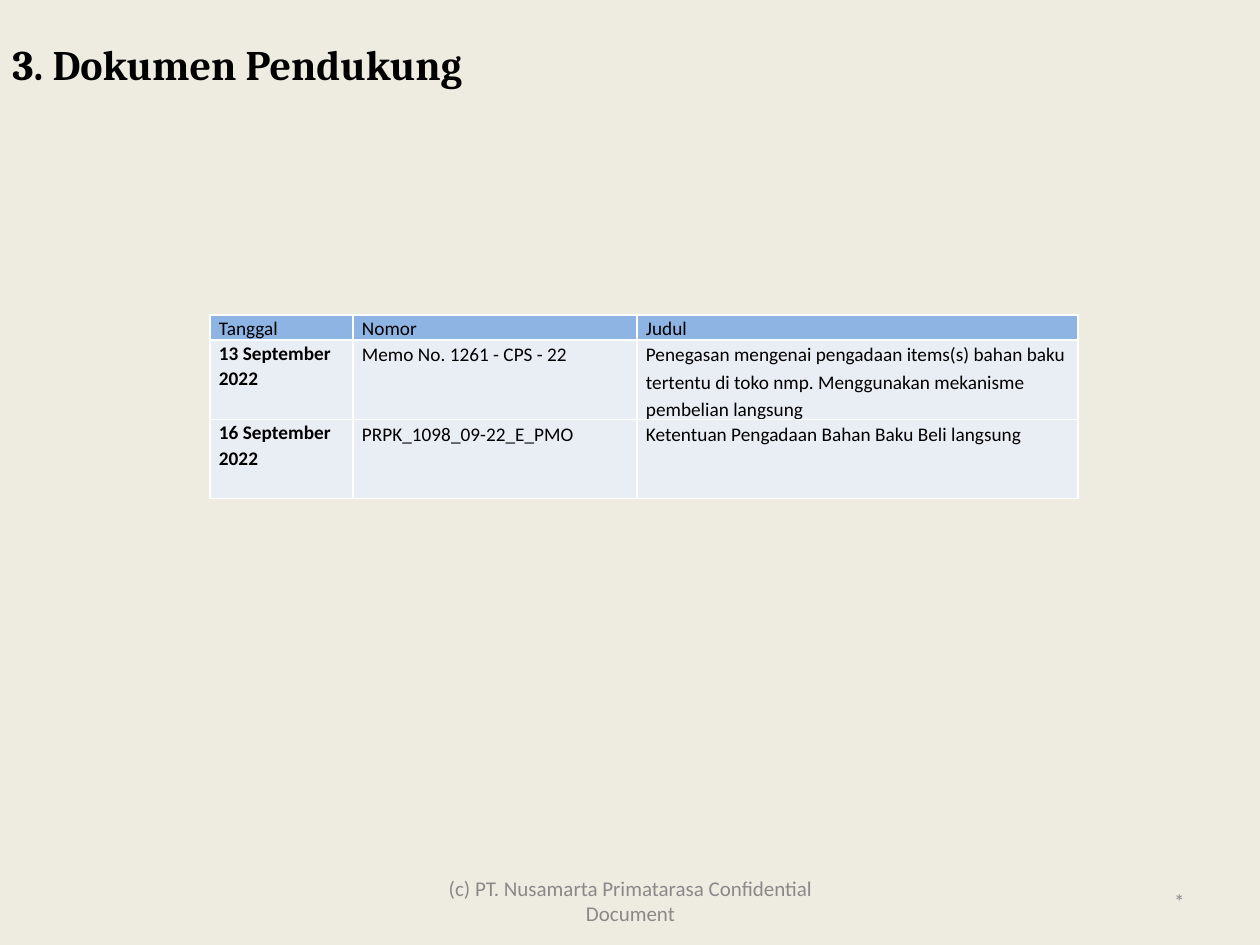
from dataclasses import dataclass

from lxml.etree import SubElement
from pptx import Presentation
from pptx.dml.color import RGBColor
from pptx.enum.text import MSO_ANCHOR, PP_ALIGN
from pptx.oxml.ns import qn
from pptx.util import Emu, Pt


@dataclass(frozen=True)
class Theme:
    background: str = "EEECE1"
    text: str = "000000"
    muted: str = "898989"
    header_fill: str = "8EB4E3"
    body_fill: str = "E9EDF4"
    border: str = "FFFFFF"
    heading_font: str = "Cambria"
    body_font: str = "Calibri"
    title_size: int = 24
    footer_size: int = 12
    table_size: int = 11
    border_width: int = 1


@dataclass(frozen=True)
class Label:
    text: str
    x: int
    y: int
    w: int
    h: int
    size: int
    font: str
    color: str
    align: PP_ALIGN = PP_ALIGN.LEFT
    anchor: MSO_ANCHOR = MSO_ANCHOR.TOP
    bold: bool = False


@dataclass(frozen=True)
class Document:
    date: str
    number: str
    title: str


THEME = Theme()
PX_PER_INCH = 126

LABELS = [
    Label("(c) PT. Nusamarta Primatarasa Confidential Document", 431, 876, 399, 50,
          THEME.footer_size, THEME.body_font, THEME.muted,
          PP_ALIGN.CENTER, MSO_ANCHOR.MIDDLE),
    Label("*", 903, 876, 294, 50, THEME.footer_size, THEME.body_font, THEME.muted,
          PP_ALIGN.RIGHT, MSO_ANCHOR.MIDDLE),
    Label("3. Dokumen Pendukung", 0, 32, 1260, 63,
          THEME.title_size, THEME.heading_font, THEME.text, bold=True),
]

HEADER = Document("Tanggal", "Nomor", "Judul")
DOCUMENTS = [
    Document("13 September 2022", "Memo No. 1261 - CPS - 22",
             "Penegasan mengenai pengadaan items(s) bahan baku tertentu di toko nmp. "
             "Menggunakan mekanisme pembelian langsung"),
    Document("16 September 2022", "PRPK_1098_09-22_E_PMO",
             "Ketentuan Pengadaan Bahan Baku Beli langsung"),
]
TABLE_X, TABLE_Y = 210, 315
COLUMN_WIDTHS = [143, 284, 441]
HEADER_HEIGHT, ROW_HEIGHT = 25, 79
CELL_INSET = 9


def px(n: int) -> Emu:
    return Emu(round(n * 914400 / PX_PER_INCH))


def style_run(r, font: str, size: int, color: str, bold: bool) -> None:
    r.font.name = font
    r.font.size = Pt(size)
    r.font.bold = bold
    r.font.color.rgb = RGBColor.from_string(color)


def add_label(s, label: Label) -> None:
    sp = s.shapes.add_textbox(px(label.x), px(label.y), px(label.w), px(label.h))
    tf = sp.text_frame
    tf.word_wrap = True
    tf.vertical_anchor = label.anchor
    tf.text = label.text
    p = tf.paragraphs[0]
    p.alignment = label.align
    style_run(p.runs[0], label.font, label.size, label.color, label.bold)


def set_borders(cell) -> None:
    tc_pr = cell._tc.get_or_add_tcPr()
    for side in ("lnL", "lnR", "lnT", "lnB"):
        ln = SubElement(tc_pr, qn(f"a:{side}"), w=str(Pt(THEME.border_width)))
        fill = SubElement(ln, qn("a:solidFill"))
        SubElement(fill, qn("a:srgbClr"), val=THEME.border)


def fill_cell(cell, text: str, fill: str, bold: bool, spacing: float) -> None:
    cell.margin_left = cell.margin_right = px(CELL_INSET)
    cell.margin_top = cell.margin_bottom = 0
    set_borders(cell)
    cell.fill.solid()
    cell.fill.fore_color.rgb = RGBColor.from_string(fill)
    cell.text_frame.text = text
    p = cell.text_frame.paragraphs[0]
    p.line_spacing = spacing
    style_run(p.runs[0], THEME.body_font, THEME.table_size, THEME.text, bold)


def add_document_table(s, header: Document, documents: list[Document]) -> None:
    rows = [header, *documents]
    heights = [HEADER_HEIGHT] + [ROW_HEIGHT] * len(documents)
    table = s.shapes.add_table(len(rows), len(COLUMN_WIDTHS), px(TABLE_X), px(TABLE_Y),
                               px(sum(COLUMN_WIDTHS)), px(sum(heights))).table
    for column, width in zip(table.columns, COLUMN_WIDTHS):
        column.width = px(width)
    for i, (doc, height) in enumerate(zip(rows, heights)):
        table.rows[i].height = px(height)
        is_header = i == 0
        fill = THEME.header_fill if is_header else THEME.body_fill
        for j, text in enumerate((doc.date, doc.number, doc.title)):
            is_date = j == 0
            fill_cell(table.cell(i, j), text, fill,
                      bold=is_date and not is_header,
                      spacing=1.07 if is_header or is_date else 1.15)


def main() -> None:
    prs = Presentation()
    prs.slide_width, prs.slide_height = px(1260), px(945)
    s = prs.slides.add_slide(prs.slide_layouts[6])
    s.background.fill.solid()
    s.background.fill.fore_color.rgb = RGBColor.from_string(THEME.background)

    # Footer, page mark and title
    for label in LABELS:
        add_label(s, label)

    # Supporting documents
    add_document_table(s, HEADER, DOCUMENTS)

    prs.save("out.pptx")


if __name__ == "__main__":
    main()
